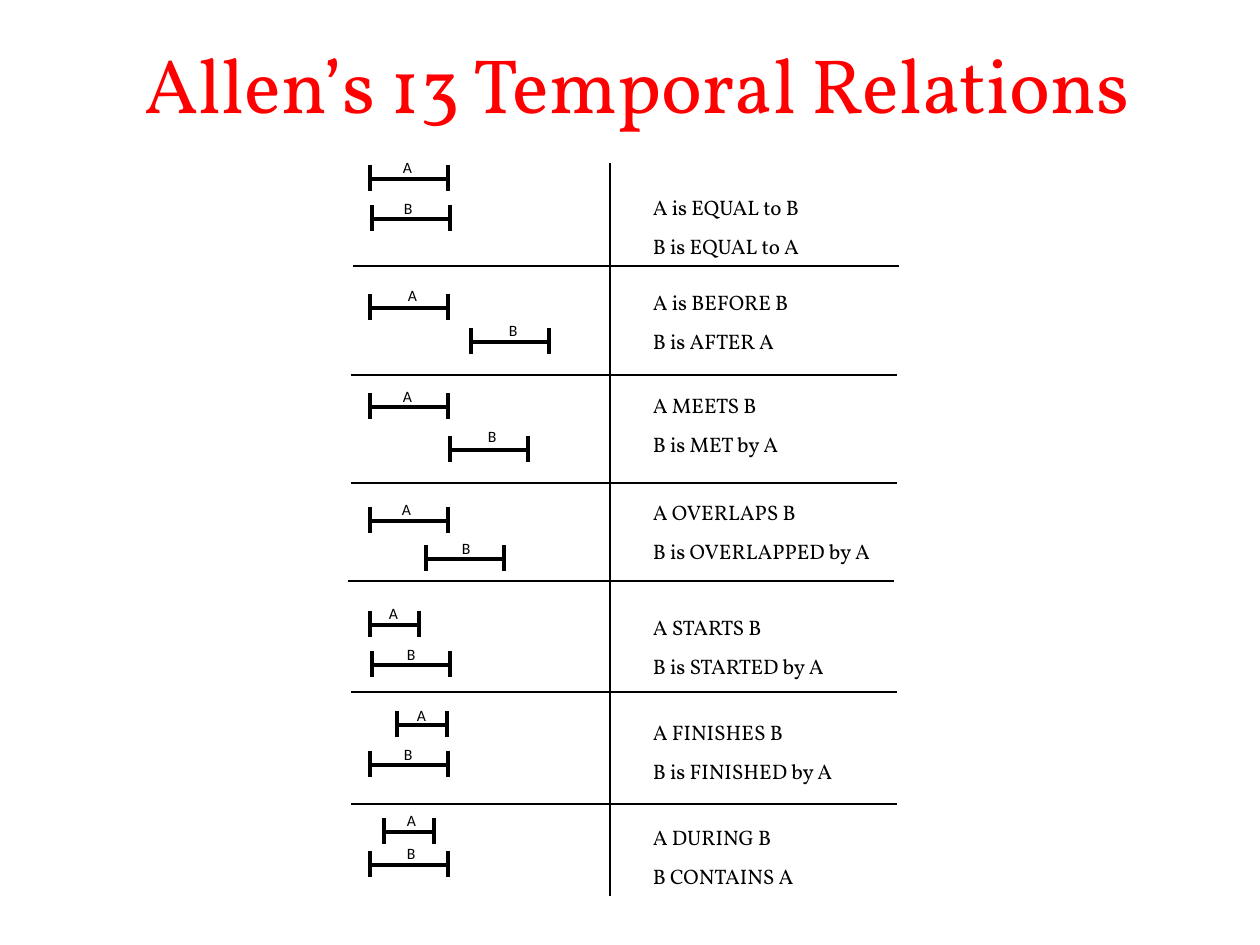
from pptx import Presentation
from pptx import util as u
from pptx.dml.color import RGBColor
from pptx.enum import shapes, text
from pptx.oxml import ns
from lxml import etree

PX = 914400 // 126
BLACK, RED = "000000", "FF0000"
TABLE_LEFT, TABLE_TOP, TABLE_WIDTH = 351, 163, 546
DIVIDER_X = 259
TICK_HEIGHT, BAR_DROP = 26, 14

# Per relation: row height, sideways shift of the rule below, top of the wording,
# its two lines, then A and B as (left, top, width, label dx, label dy)
RELATIONS = [
    (103, 2, 26, ("A is EQUAL to B", "B is EQUAL to A"),
     (19, 2, 78, 33, -7), (21, 42, 78, 32, -6)),
    (109, 0, 18, ("A is BEFORE B", "B is AFTER A"),
     (19, 28, 78, 38, -8), (120, 62, 78, 38, -7)),
    (108, 0, 12, ("A MEETS B", "B is MET by A"),
     (19, 18, 78, 33, -6), (99, 61, 78, 38, -9)),
    (98, -3, 11, ("A OVERLAPS B", "B is OVERLAPPED by A"),
     (19, 24, 78, 32, -7), (75, 62, 78, 36, -6)),
    (111, 0, 28, ("A STARTS B", "B is STARTED by A"),
     (19, 30, 49, 19, -7), (21, 70, 78, 35, -6)),
    (112, 0, 22, ("A FINISHES B", "B is FINISHED by A"),
     (46, 19, 50, 20, -5), (19, 59, 78, 34, -6)),
    (92, 0, 15, ("A DURING B", "B CONTAINS A"),
     (33, 14, 50, 23, -7), (19, 47, 78, 37, -7)),
]


def color(value):
    return RGBColor.from_string(value)


def add_line(slide, x1, y1, x2, y2, weight):
    line = slide.shapes.add_connector(
        shapes.MSO_CONNECTOR.STRAIGHT, x1 * PX, y1 * PX, x2 * PX, y2 * PX)
    line.line.color.rgb = color(BLACK)
    line.line.width = u.Pt(weight)
    etree.SubElement(line._element.spPr, ns.qn("a:effectLst"))


def add_text(slide, box, lines, font, size, ink=BLACK, inset=(0, 0),
             wrap=True, align=text.PP_ALIGN.LEFT, gap=0):
    frame = slide.shapes.add_textbox(*(n * PX for n in box)).text_frame
    frame.margin_left = frame.margin_right = inset[0] * PX
    frame.margin_top = frame.margin_bottom = inset[1] * PX
    frame.word_wrap = wrap
    frame.vertical_anchor = text.MSO_ANCHOR.TOP
    frame.text = "\n".join(lines)
    for index, paragraph in enumerate(frame.paragraphs):
        paragraph.alignment = align
        if index and gap:
            paragraph.space_before = u.Pt(gap)
        for run in paragraph.runs:
            run.font.name = font
            run.font.size = u.Pt(size)
            run.font.color.rgb = color(ink)


def add_title(slide, box):
    add_text(slide, box, ["Allen’s 13 Temporal Relations"], "Vollkorn", 44,
             RED, (9, 4), align=text.PP_ALIGN.CENTER)


def add_interval(slide, x, y, width, name, label_dx, label_dy):
    # End ticks, bar and letter
    for tick in (x, x + width):
        add_line(slide, tick, y, tick, y + TICK_HEIGHT, 2.13)
    add_line(slide, x, y + BAR_DROP, x + width, y + BAR_DROP, 2.13)
    add_text(slide, (x + label_dx, y + label_dy, 10, 19), [name],
             "Calibri", 9, wrap=False)


def add_relation(slide, left, top, wording_top, wording, a, b):
    for name, (x, y, width, label_dx, label_dy) in (("A", a), ("B", b)):
        add_interval(slide, left + x, top + y, width, name, label_dx, label_dy)
    add_text(slide, (left + 289, top + wording_top, 273, 77), wording,
             "Vollkorn", 12, inset=(13, 6), gap=7.5)


def add_relations_table(slide, left, top, width):
    bottom = top + sum(relation[0] for relation in RELATIONS)
    add_line(slide, left + DIVIDER_X, top, left + DIVIDER_X, bottom, 0.75)
    for height, rule_shift, *relation in RELATIONS:
        add_relation(slide, left, top, *relation)
        top += height
        if top < bottom:
            start = left + rule_shift
            add_line(slide, start, top, start + width, top, 0.75)


def main():
    deck = Presentation()
    deck.slide_width, deck.slide_height = 1260 * PX, 945 * PX
    slide = deck.slides.add_slide(deck.slide_layouts[6])
    add_title(slide, (117, 33, 1041, 192))
    add_relations_table(slide, TABLE_LEFT, TABLE_TOP, TABLE_WIDTH)
    deck.save("out.pptx")


if __name__ == "__main__":
    main()
